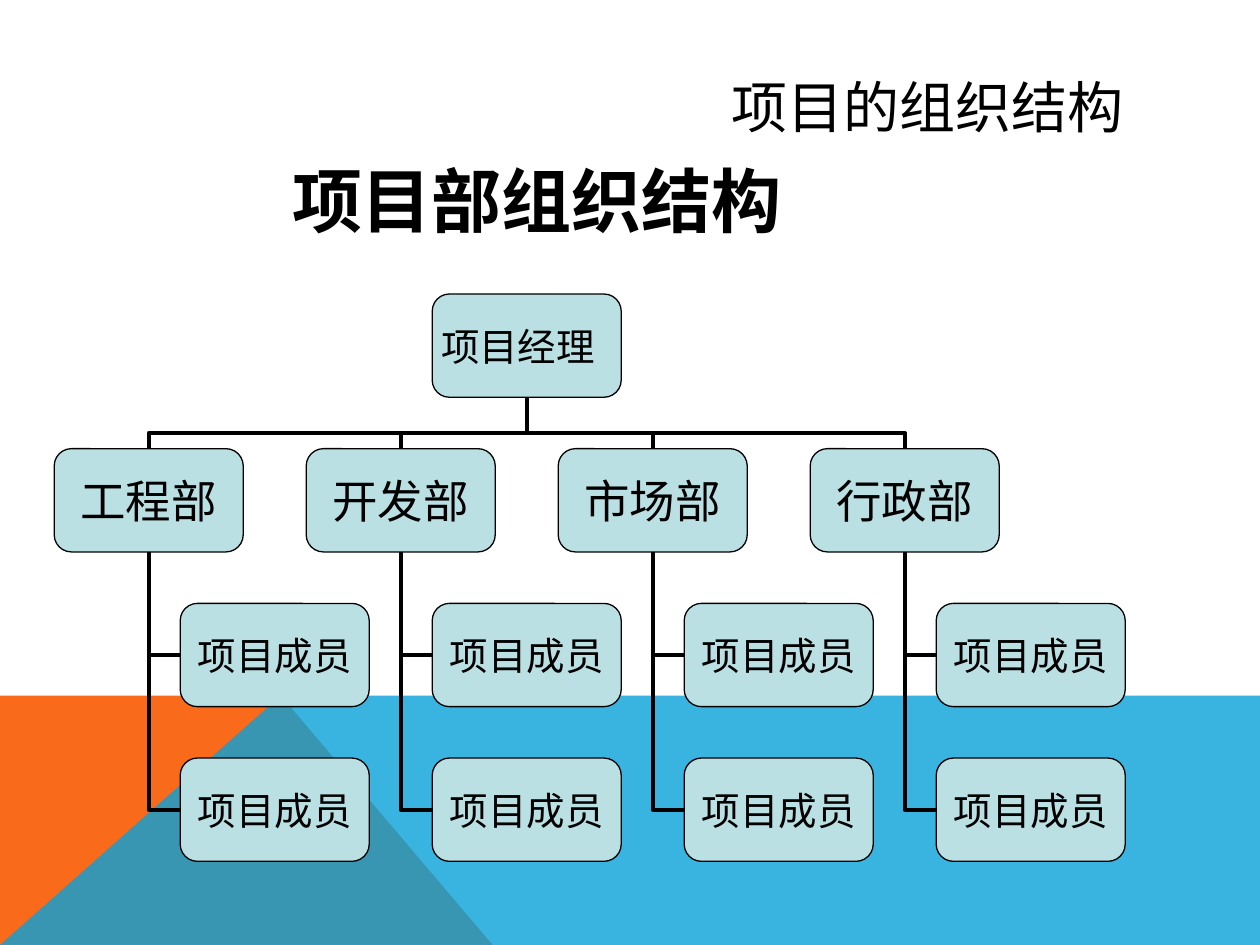
from lxml import etree
from pptx import Presentation
from pptx.dml.color import RGBColor
from pptx.enum.shapes import MSO_CONNECTOR, MSO_SHAPE
from pptx.enum.text import MSO_ANCHOR, PP_ALIGN
from pptx.oxml.ns import qn
from pptx.util import Pt

ELBOW = MSO_CONNECTOR.ELBOW
ROUNDED = MSO_SHAPE.ROUNDED_RECTANGLE
MIDDLE = MSO_ANCHOR.MIDDLE
CENTER = PP_ALIGN.CENTER
TOP_SITE, LEFT_SITE, BOTTOM_SITE = 0, 1, 2

COLORS = {"black": "000000", "box": "BBE0E3", "orange": "F96A1B", "blue": "08A1D9"}
TITLE_FONT = {"name": "Roboto", "size": Pt(40), "bold": True}
HEADING_FONT = {"name": "Roboto", "size": Pt(32), "bold": False}
DEPARTMENT_FONT = {"name": "Times New Roman", "size": Pt(26)}
PERSON_FONT = {"name": "Times New Roman", "size": Pt(22)}

BOX_WIDTH, BOX_HEIGHT = 108, 59
COLUMN_LEFT, COLUMN_STEP = 31, 144
MEMBER_INDENT = 72
MANAGER_LEFT, MANAGER_TOP = 247, 168
ROW_STEP = 88.4
DEPARTMENTS = ["工程部", "开发部", "市场部", "行政部"]


def write(shape, text, font_values):
    """Put one centred line of black text in the middle of the shape."""
    frame = shape.text_frame
    frame.text = text
    frame.vertical_anchor = MIDDLE
    paragraph = frame.paragraphs[0]
    paragraph.alignment = CENTER
    for name, value in font_values.items():
        setattr(paragraph.font, name, value)
    paragraph.font.color.rgb = RGBColor.from_string(COLORS["black"])


def add_box(left, top, text, font_values):
    box = slide.shapes.add_shape(ROUNDED, Pt(left), Pt(top), Pt(BOX_WIDTH), Pt(BOX_HEIGHT))
    box.shadow.inherit = False
    box.fill.solid()
    box.fill.fore_color.rgb = RGBColor.from_string(COLORS["box"])
    box.line.color.rgb = RGBColor.from_string(COLORS["black"])
    box.line.width = Pt(0.75)
    for side in ("left", "top", "right", "bottom"):
        setattr(box.text_frame, f"margin_{side}", 0)
    write(box, text, font_values)
    return box


presentation = Presentation()
presentation.slide_width, presentation.slide_height = Pt(720), Pt(540)
slide = presentation.slides.add_slide(presentation.slide_layouts[5])

# Coloured bands at the foot of the slide
bands = [
    ("orange", 100, [(0, 540), (0, 397.5), (160.5, 397.5), (281.5, 540)]),
    ("blue", 80, [(0, 540), (160.5, 397.5), (720, 397.5), (720, 540)]),
]
for color, opacity, points in bands:
    builder = slide.shapes.build_freeform(Pt(points[0][0]), Pt(points[0][1]))
    builder.add_line_segments([(Pt(x), Pt(y)) for x, y in points[1:]], close=True)
    band = builder.convert_to_shape()
    band.shadow.inherit = False
    band.line.fill.background()
    band.fill.solid()
    band.fill.fore_color.rgb = RGBColor.from_string(COLORS[color])
    if opacity < 100:
        color_element = band.fill._xPr.find(qn("a:solidFill"))[0]
        etree.SubElement(color_element, qn("a:alpha"), val=str(opacity * 1000))

# Title and heading
title = slide.shapes.title
title.left, title.top, title.width, title.height = Pt(0), Pt(83), Pt(613.5), Pt(62)
write(title, "项目部组织结构", TITLE_FONT)

heading = slide.shapes.add_textbox(Pt(411), Pt(37.5), Pt(238.5), Pt(46))
heading.text_frame.word_wrap = False
write(heading, "项目的组织结构", HEADING_FONT)

# Boxes of the chart, with the links between them
manager = add_box(MANAGER_LEFT, MANAGER_TOP, "项目经理", PERSON_FONT)
manager.text_frame.margin_right = Pt(10)

links = []
for column, name in enumerate(DEPARTMENTS):
    left = COLUMN_LEFT + column * COLUMN_STEP
    department = add_box(left, MANAGER_TOP + ROW_STEP, name, DEPARTMENT_FONT)
    links.append((department, TOP_SITE, manager))
    for row in (2, 3):
        member = add_box(left + MEMBER_INDENT, MANAGER_TOP + row * ROW_STEP, "项目成员", PERSON_FONT)
        links.append((member, LEFT_SITE, department))

for lower, lower_site, upper in links:
    connector = slide.shapes.add_connector(ELBOW, 0, 0, 0, 0)
    connector.begin_connect(lower, lower_site)
    connector.end_connect(upper, BOTTOM_SITE)
    connector.line.color.rgb = RGBColor.from_string(COLORS["black"])
    connector.line.width = Pt(2.25)
    properties = connector._element.spPr
    etree.SubElement(properties, qn("a:effectLst"))
    geometry = properties.find(qn("a:prstGeom"))
    transform = properties.find(qn("a:xfrm"))

    start_x, start_y = lower.left, lower.top + lower.height // 2
    end_x, end_y = upper.left + upper.width // 2, upper.top + upper.height
    if lower_site == TOP_SITE:
        # A quarter turn makes the elbow leave the box vertically
        start_x, start_y = lower.left + lower.width // 2, lower.top
        on_left = start_x < end_x
        across, down = abs(end_x - start_x), start_y - end_y
        connector.left = (start_x + end_x - down) // 2
        connector.top = (start_y + end_y - across) // 2
        connector.width, connector.height = down, across
        transform.set("rot", "5400000" if on_left else "16200000")
        transform.set("flipH", "1" if on_left else "0")
        guides = geometry.find(qn("a:avLst"))
        if guides is None:
            guides = etree.SubElement(geometry, qn("a:avLst"))
        etree.SubElement(guides, qn("a:gd"), name="adj1", fmla="val 30500")
    else:
        geometry.set("prst", "bentConnector2")
        connector.left, connector.top = end_x, end_y
        connector.width, connector.height = start_x - end_x, start_y - end_y
        transform.set("flipH", "1")
    transform.set("flipV", "1")

presentation.save("out.pptx")
